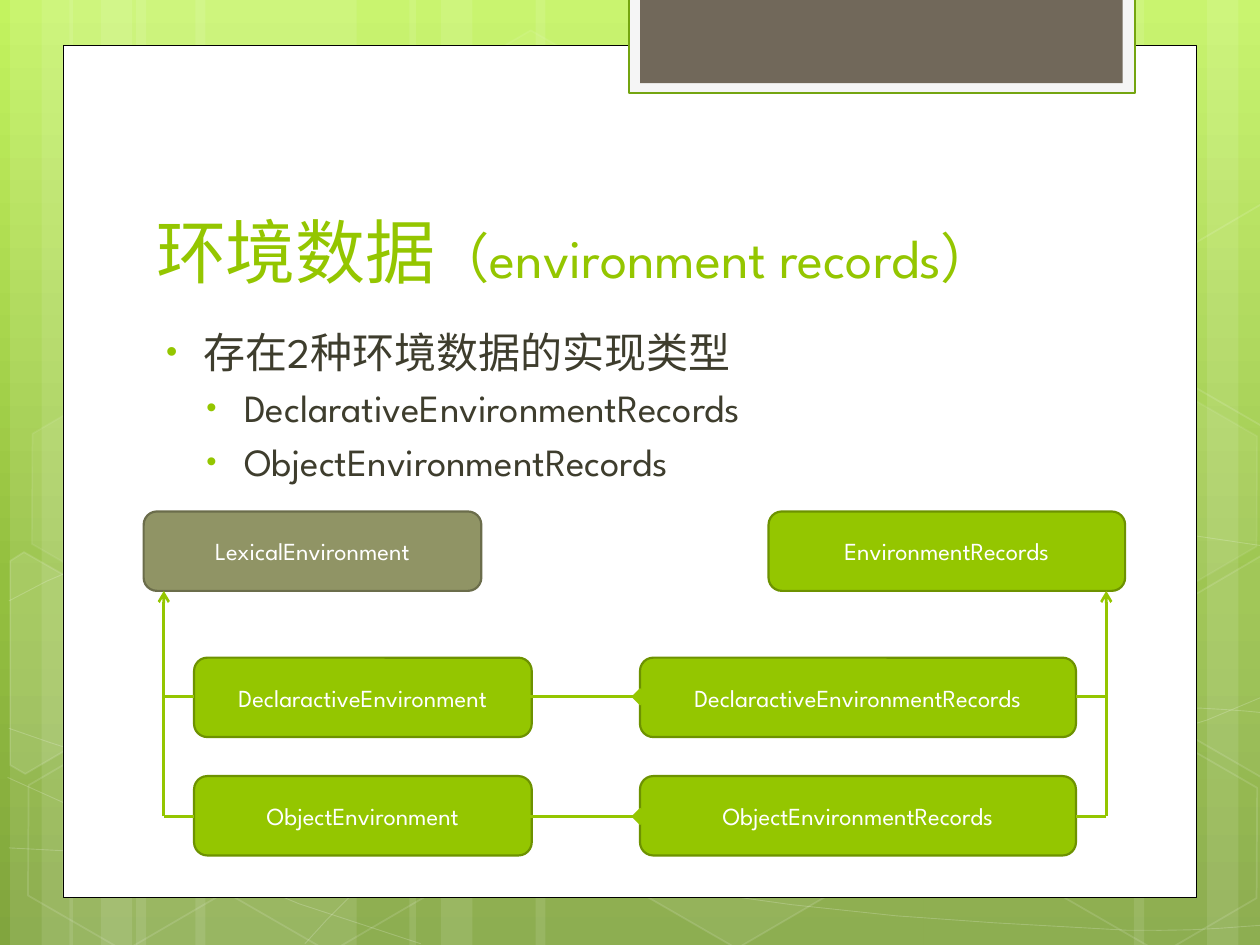
import math

import lxml.etree
import pptx
import pptx.dml.color
import pptx.enum.shapes
import pptx.enum.text
import pptx.oxml.ns
import pptx.util

Inches = pptx.util.Inches
Pt = pptx.util.Pt
MSO = pptx.enum.shapes.MSO_SHAPE
ANCHOR = pptx.enum.text.MSO_ANCHOR
ALIGN = pptx.enum.text.PP_ALIGN
COLORS = {
    "sky": "C3F35F", "leaf": "93BF3F", "moss": "81A53E", "white": "FFFFFF",
    "black": "000000", "smoke": "F5F5F5", "rim": "74A510", "tab": "71685A",
    "lime": "94C600", "lime_edge": "6D9200", "olive": "909465",
    "olive_edge": "6B6D4B", "ink": "3E3D2D",
}


def rgb(name):
    return pptx.dml.color.RGBColor.from_string(COLORS[name])


def add(parent, tag, **attrs):
    return lxml.etree.SubElement(parent, pptx.oxml.ns.qn(tag), attrs)


def bezier_points(start, curves, steps=3):
    points = [start]
    for x1, y1, x2, y2, x3, y3 in curves:
        x0, y0 = points[-1]
        for i in range(1, steps + 1):
            t = i / steps
            w = [(1 - t) ** 3, 3 * t * (1 - t) ** 2, 3 * t * t * (1 - t), t ** 3]
            points.append((sum(a * b for a, b in zip(w, (x0, x1, x2, x3))),
                           sum(a * b for a, b in zip(w, (y0, y1, y2, y3)))))
    return points


def turn_back(points, center, degrees):
    cx, cy = center
    c, s = math.cos(math.radians(degrees)), math.sin(math.radians(degrees))
    return [(cx + (x - cx) * c + (y - cy) * s, cy - (x - cx) * s + (y - cy) * c)
            for x, y in points]


class Deck:
    font = {"name": "League Spartan"}

    def __init__(self, prs):
        self.s = prs.slides.add_slide(prs.slide_layouts[6])

    def background(self, stops, angle):
        fill = self.s.background.fill
        fill.gradient()
        fill.gradient_angle = angle
        gs_list = self.s.element.xpath(".//a:gsLst")[0]
        for gs in list(gs_list):
            gs_list.remove(gs)
        for pos, color in stops:
            gs = add(gs_list, "a:gs", pos=str(pos * 1000))
            add(gs, "a:srgbClr", val=COLORS[color])

    def paint(self, sp, fill=None, fill_alpha=100, line=None, width=1, line_alpha=100):
        sp.shadow.inherit = False
        for target, color, alpha, where in (
            (sp.fill, fill, fill_alpha, "a:solidFill"),
            (sp.line.fill, line, line_alpha, "a:ln/a:solidFill"),
        ):
            if color is None:
                target.background()
                continue
            target.solid()
            target.fore_color.rgb = rgb(color)
            if alpha < 100:
                clr = sp.element.xpath(f"./p:spPr/{where}/a:srgbClr")[0]
                add(clr, "a:alpha", val=str(alpha * 1000))
        if line:
            sp.line.width = Pt(width)

    def shape(self, kind, box, rotation=0, **style):
        sp = self.s.shapes.add_shape(kind, *map(Inches, box))
        sp.rotation = rotation
        self.paint(sp, **style)
        return sp

    def hexagon(self, x, y, **style):
        sp = self.shape(MSO.HEXAGON, (x, y, 1.75, 1.52), 30, line="white", **style)
        sp.adjustments[0] = 0.285

    def outline(self, points, close, rotation=0, **style):
        pts = [(Inches(x), Inches(y)) for x, y in points]
        builder = self.s.shapes.build_freeform(*pts[0])
        builder.add_line_segments(pts[1:], close=close)
        sp = builder.convert_to_shape()
        sp.rotation = rotation
        self.paint(sp, line="white", **style)

    def run(self, p, text, size, color):
        r = p.add_run()
        r.text = text
        for key, value in {**self.font, "size": Pt(size)}.items():
            setattr(r.font, key, value)
        r.font.color.rgb = rgb(color)

    def text(self, box, anchor):
        tf = self.s.shapes.add_textbox(*map(Inches, box)).text_frame
        for key, value in {"word_wrap": True, "vertical_anchor": anchor}.items():
            setattr(tf, key, value)
        return tf

    def title(self, box, runs):
        p = self.text(box, ANCHOR.BOTTOM).paragraphs[0]
        for text, size in runs:
            self.run(p, text, size, "lime")

    def bullets(self, box, items):
        tf = self.text(box, ANCHOR.TOP)
        for i, (text, size, margin) in enumerate(items):
            p = tf.add_paragraph() if i else tf.paragraphs[0]
            pPr = p._p.get_or_add_pPr()
            pPr.set("marL", str(Inches(margin)))
            pPr.set("indent", str(Inches(-0.3)))
            add(add(pPr, "a:buClr"), "a:srgbClr", val=COLORS["lime"])
            add(pPr, "a:buSzPct", val="76000")
            add(pPr, "a:buFont", typeface="Arial")
            add(pPr, "a:buChar", char="•")
            if i:
                p.space_before = Pt(size * 0.2)
            self.run(p, text, size, "ink")

    def node(self, x, y, w, text, color="lime"):
        sp = self.shape(MSO.ROUNDED_RECTANGLE, (x, y, w, 0.63),
                        fill=color, line=color + "_edge", width=1.25)
        tf = sp.text_frame
        for key, value in {"word_wrap": True, "vertical_anchor": ANCHOR.MIDDLE}.items():
            setattr(tf, key, value)
        p = tf.paragraphs[0]
        p.alignment = ALIGN.CENTER
        self.run(p, text, 14, "white")

    def line(self, x1, y1, x2, y2, **end):
        c = self.s.shapes.add_connector(
            pptx.enum.shapes.MSO_CONNECTOR.STRAIGHT, *map(Inches, (x1, y1, x2, y2)))
        c.line.color.rgb = rgb("lime")
        c.line.width = Pt(1.5)
        if end:
            add(c.line._get_or_add_ln(), "a:tailEnd", **end)
        add(c.element.spPr, "a:effectLst")


STRIPES = [(1.08, 1.75), (0.08, 0.5), (0.33, 0.83), (1.55, 1.75), (0.55, 0.5), (0.8, 0.83),
           (7.33, 1.75), (9.58, 0.5), (9, 0.83), (4.25, 3.08), (3.25, 0.5), (3.5, 0.83)]
WAVES = [
    ((0.07, 6.73), [(0.61, 6.76, 1.15, 6.79, 1.9, 6.78), (2.65, 6.77, 3.58, 6.75, 4.58, 6.65),
                    (5.58, 6.55, 7, 6.36, 7.92, 6.17), (8.83, 5.98, 9.77, 5.68, 10.07, 5.51)]),
    ((0.07, 4.77), [(0.36, 4.61, 0.65, 4.46, 1.21, 4.31), (1.78, 4.16, 2.59, 3.94, 3.47, 3.87),
                    (4.36, 3.8, 5.44, 3.79, 6.54, 3.87), (7.64, 3.95, 9.47, 4.26, 10.07, 4.34)]),
    ((0.06, 6.17), [(1.27, 6.72, 2.47, 7.27, 3.34, 7.49)]),
    ((0.07, 5.78), [(0.38, 5.89, 0.7, 6, 1.28, 6.16), (1.86, 6.31, 2.73, 6.56, 3.57, 6.73),
                    (4.4, 6.9, 5.45, 7.08, 6.28, 7.18), (7.11, 7.29, 8, 7.33, 8.53, 7.36),
                    (9.05, 7.4, 9.19, 7.38, 9.45, 7.38), (9.71, 7.37, 9.89, 7.35, 10.07, 7.34)]),
    ((2.42, 7.49), [(2.6, 7.29, 2.78, 7.09, 3.02, 6.91), (3.26, 6.73, 3.6, 6.53, 3.88, 6.39),
                    (4.16, 6.25, 4.33, 6.19, 4.7, 6.09), (5.06, 5.99, 5.73, 5.85, 6.08, 5.78),
                    (6.44, 5.71, 6.49, 5.71, 6.8, 5.69), (7.11, 5.66, 7.6, 5.63, 7.94, 5.62),
                    (8.29, 5.61, 8.86, 5.62, 9.53, 5.62), (9.71, 5.63, 9.88, 5.64, 10.06, 5.66)]),
]
HEXAGONS = [(3.34, 0.36, 4, 8), (4.97, 5.89, 6, 12), (0.11, 5.91, 0, 12),
            (0.14, 3.12, 7, 8), (1.74, 5.92, 0, 12), (7.53, 4.53, 10, 12),
            (8.34, 5.93, 0, 12), (8.34, 3.14, 7, 8)]
LEFT_EDGE = [(0.08, 4.45), (0.19, 4.38), (0.96, 4.82), (0.95, 5.7), (0.2, 6.14), (0.08, 6.07)]
RIGHT_EDGE = [(9.26, 4.85), (10.01, 4.41), (10.09, 4.46), (10.09, 6.13), (10.02, 6.17), (9.26, 5.73)]
UPPER_EDGE = [(x, y - 2.79) for x, y in RIGHT_EDGE]
EDGES = [(LEFT_EDGE, (0.36, 5.35), 10), (RIGHT_EDGE, (9.85, 5.2), 4), (UPPER_EDGE, (9.85, 2.41), 0)]


def main():
    prs = pptx.Presentation()
    prs.slide_width, prs.slide_height = Inches(10), Inches(7.5)
    d = Deck(prs)
    d.background([(0, "sky"), (62, "leaf"), (100, "moss")], 270)
    for x, w in STRIPES:
        d.shape(MSO.RECTANGLE, (x, 0, w, 7.5), fill="white", fill_alpha=10)
    for start, curves in WAVES:
        d.outline(bezier_points(start, curves), False, width=0.5, line_alpha=20)
    for x, y, alpha, edge in HEXAGONS:
        d.hexagon(x, y, fill="white" if alpha else None, fill_alpha=alpha, line_alpha=edge)
    for points, center, alpha in EDGES:
        d.outline(turn_back(points, center, 30), True, 30,
                  fill="white" if alpha else None, fill_alpha=alpha, line_alpha=12)

    d.shape(MSO.RECTANGLE, (0.5, 0.36, 9, 6.76), fill="white", line="black", width=0.5)
    d.shape(MSO.RECTANGLE, (4.99, -0.02, 4.02, 0.76), fill="smoke", line="rim", width=1.25)
    d.shape(MSO.RECTANGLE, (5.08, -0.02, 3.83, 0.68), fill="tab")
    d.title((1.14, 1.12, 7.68, 1.25), [("环境数据", 40), ("（environment records）", 31)])
    d.bullets((1.14, 2.54, 7.41, 3.84), [
        ("存在2种环境数据的实现类型", 24, 0.38),
        ("DeclarativeEnvironmentRecords", 22, 0.7),
        ("ObjectEnvironmentRecords", 22, 0.7),
    ])

    d.node(1.14, 4.06, 2.68, "LexicalEnvironment", "olive")
    d.node(6.1, 4.06, 2.83, "EnvironmentRecords")
    for y, mid, name in ((5.22, 5.53, "DeclaractiveEnvironment"), (6.16, 6.48, "ObjectEnvironment")):
        d.node(1.54, y, 2.68, name)
        d.node(5.08, y, 3.46, name + "Records")
        d.line(1.54, mid, 1.3, mid)
        d.line(8.54, mid, 8.78, mid)
        d.line(4.21, mid, 5.08, mid, type="diamond", w="lg", len="lg")
    for x in (1.3, 8.78):
        d.line(x, 6.48, x, 4.69, type="arrow")
    prs.save("out.pptx")


if __name__ == "__main__":
    main()
